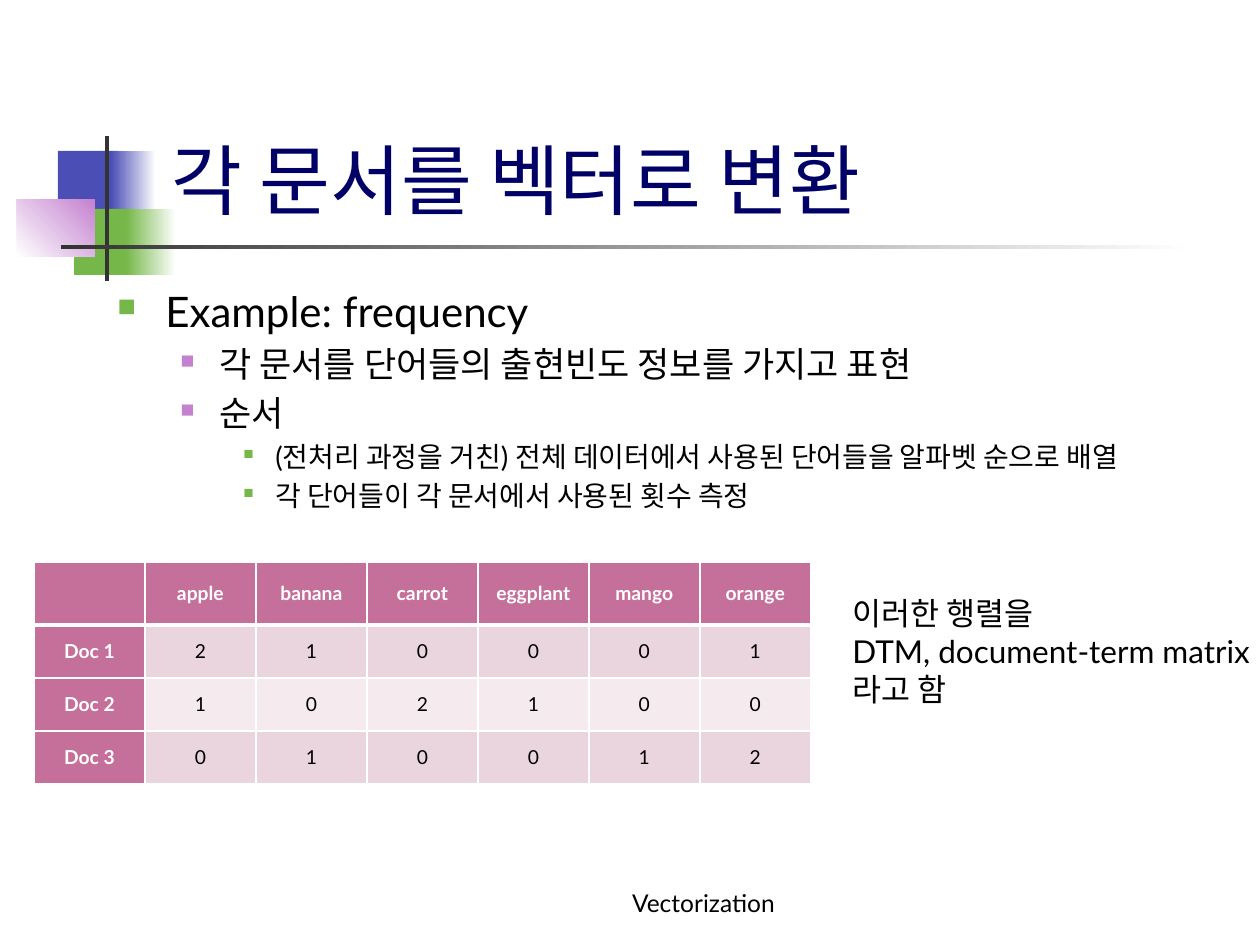
import pptx
import pptx.util
import pptx.dml.color
import pptx.enum.shapes
import pptx.enum.text
import pptx.oxml
import pptx.oxml.ns

ALIGN = pptx.enum.text.PP_ALIGN
ANCHOR = pptx.enum.text.MSO_ANCHOR
SCALE = 914400 / 126


def px(count):
    return pptx.util.Emu(round(count * SCALE))


def tint(code):
    return pptx.dml.color.RGBColor.from_string(code)


def node(text):
    space = pptx.oxml.ns.nsdecls("a")
    return pptx.oxml.parse_xml(text.replace(" ", f" {space} ", 1))


class Deck:
    font = "Lato"
    black, white = "000000", "FFFFFF"
    blue, green, pink, dark = "4B4EB5", "76B749", "C481CF", "333333"
    rose, bands = "C4709A", ("EAD5DE", "F5EBEF")

    def __init__(self, slide):
        self.slide = slide

    def block(self, box, first, last=None, angle=0):
        kind = pptx.enum.shapes.MSO_SHAPE.RECTANGLE
        shape = self.slide.shapes.add_shape(kind, *map(px, box))
        shape.shadow.inherit = False
        shape.line.fill.background()
        if last is None:
            shape.fill.solid()
            shape.fill.fore_color.rgb = tint(first)
        else:
            shape.fill.gradient()
            shape.fill.gradient_angle = angle
            for stop, code in zip(shape.fill.gradient_stops, (first, last)):
                stop.color.rgb = tint(code)

    def run(self, para, text, size, code=black, bold=False):
        run = para.add_run()
        run.text = text
        run.font.name = self.font
        run.font.size = pptx.util.Pt(size)
        run.font.bold = bold
        run.font.color.rgb = tint(code)

    def frame(self, box, anchor=ANCHOR.TOP, wrap=True):
        frame = self.slide.shapes.add_textbox(*map(px, box)).text_frame
        frame.word_wrap = wrap
        frame.vertical_anchor = anchor
        return frame

    def text(self, box, lines, size, code=black, align=ALIGN.LEFT,
             anchor=ANCHOR.TOP, wrap=True):
        frame = self.frame(box, anchor, wrap)
        for i, line in enumerate(lines):
            para = frame.add_paragraph() if i else frame.paragraphs[0]
            para.alignment = align
            self.run(para, line, size, code)

    def list(self, box, items):
        levels = (
            (24, 48, 48, self.green, 60),
            (20, 102, 39, self.pink, 55),
            (16, 158, 32, self.green, 50),
        )
        frame = self.frame(box)
        for i, (level, line) in enumerate(items):
            size, left, hang, code, part = levels[level]
            para = frame.add_paragraph() if i else frame.paragraphs[0]
            para.level = level
            if i:
                para.space_before = pptx.util.Pt(size * 0.2)
            props = para._p.get_or_add_pPr()
            props.set("marL", str(px(left)))
            props.set("indent", str(-px(hang)))
            props.append(node(f'<a:buClr ><a:srgbClr val="{code}"/></a:buClr>'))
            props.append(node(f'<a:buSzPct val="{part * 1000}"/>'))
            props.append(node('<a:buChar char="■"/>'))
            self.run(para, line, size)

    def edge(self, cell, row):
        props = cell._tc.get_or_add_tcPr()
        widths = {"L": 1, "R": 1, "T": 3 if row == 1 else 1, "B": 1 if row else 3}
        for side, width in widths.items():
            props.append(node(
                f'<a:ln{side} w="{width * 12700}"><a:solidFill>'
                f'<a:srgbClr val="{self.white}"/></a:solidFill></a:ln{side}>'))

    def table(self, left, top, width, heights, rows):
        count = len(rows[0])
        box = (left, top, width * count, sum(heights))
        table = self.slide.shapes.add_table(
            len(rows), count, *map(px, box)).table
        for col in table.columns:
            col.width = px(width)
        for r, (height, row) in enumerate(zip(heights, rows)):
            table.rows[r].height = px(height)
            for c, value in enumerate(row):
                cell = table.cell(r, c)
                head = r == 0 or c == 0
                self.edge(cell, r)
                cell.fill.solid()
                cell.fill.fore_color.rgb = tint(
                    self.rose if head else self.bands[(r - 1) % 2])
                cell.vertical_anchor = ANCHOR.MIDDLE
                para = cell.text_frame.paragraphs[0]
                para.alignment = ALIGN.CENTER
                if value != "":
                    self.run(para, str(value), 11,
                             self.white if head else self.black, head)


def main():
    show = pptx.Presentation()
    show.slide_width, show.slide_height = px(1260), px(945)
    deck = Deck(show.slides.add_slide(show.slide_layouts[6]))

    deck.block((58, 151, 60, 66), deck.blue)
    deck.block((111, 151, 45, 66), deck.blue, deck.white)
    deck.block((74, 209, 58, 66), deck.green)
    deck.block((126, 209, 50, 66), deck.green, deck.white)
    deck.block((17, 199, 78, 58), deck.white, deck.pink, 45)
    deck.block((105, 136, 4, 145), deck.dark)
    deck.block((61, 245, 1134, 4), deck.dark, deck.white)

    deck.text((159, 29, 1074, 202), ["각 문서를 벡터로 변환"], 44, "000066",
              anchor=ANCHOR.BOTTOM)
    deck.list((105, 279, 1128, 567), [
        (0, "Example: frequency"),
        (1, "각 문서를 단어들의 출현빈도 정보를 가지고 표현"),
        (1, "순서"),
        (2, "(전처리 과정을 거친) 전체 데이터에서 사용된 단어들을 알파벳 순으로 배열"),
        (2, "각 단어들이 각 문서에서 사용된 횟수 측정"),
    ])
    deck.text((504, 861, 399, 63), ["Vectorization"], 14,
              align=ALIGN.CENTER, anchor=ANCHOR.BOTTOM)
    deck.table(34, 562, 111, (63, 53, 53, 53), [
        ("", "apple", "banana", "carrot", "eggplant", "mango", "orange"),
        ("Doc 1", 2, 1, 0, 0, 0, 1),
        ("Doc 2", 1, 0, 2, 1, 0, 0),
        ("Doc 3", 0, 1, 0, 0, 1, 2),
    ])
    deck.text((840, 588, 423, 127),
              ["이러한 행렬을", "DTM, document-term matrix", "라고 함"],
              18, wrap=False)
    show.save("out.pptx")


if __name__ == "__main__":
    main()
